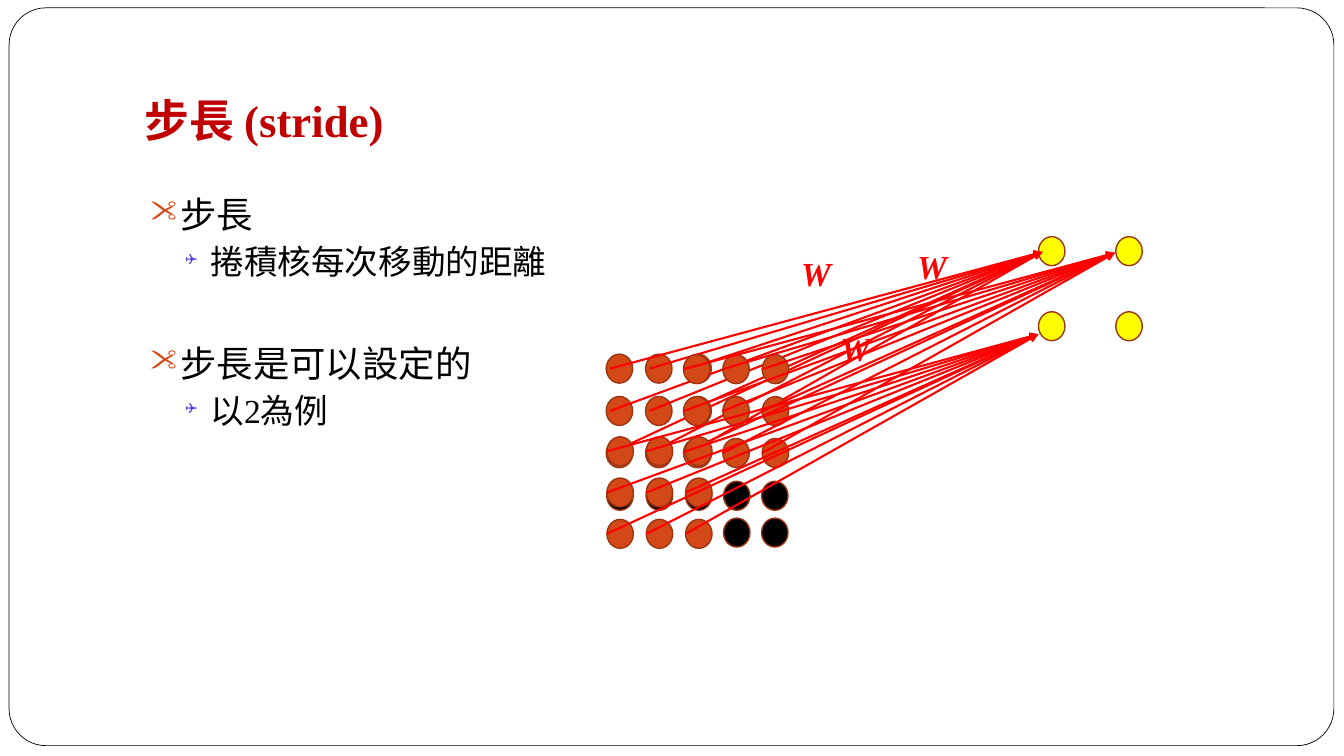
from lxml.etree import SubElement as Sub
from pptx import Presentation
from pptx.dml.color import RGBColor as RGB
from pptx.enum.shapes import MSO_CONNECTOR as LINK, MSO_SHAPE as SHAPE
from pptx.enum.text import MSO_ANCHOR as ANCHOR
from pptx.oxml.ns import qn
from pptx.util import Pt

BLACK = RGB(0x00, 0x00, 0x00)
WHITE = RGB(0xFF, 0xFF, 0xFF)
DARK = RGB(0xC0, 0x00, 0x00)
RED = RGB(0xFF, 0x00, 0x00)
RUST = RGB(0xD3, 0x48, 0x17)
BROWN = RGB(0x9C, 0x35, 0x11)
GOLD = RGB(0xFF, 0xFF, 0x00)
BLUE = RGB(0x50, 0x3D, 0xDB)


def write(para, text, size=24, color=BLACK, bold=False, italic=False,
          before=0, bullet=None):
    """Fill one paragraph; bullet is (sign, color, percent, margin, hang)."""
    para.space_before = Pt(before)
    if bullet:
        sign, tint, scale, margin, hang = bullet
        props = para._p.get_or_add_pPr()
        props.set("marL", str(Pt(margin)))
        props.set("indent", str(-Pt(hang)))
        Sub(Sub(props, qn("a:buClr")), qn("a:srgbClr"), val=str(tint))
        Sub(props, qn("a:buSzPct"), val=str(scale * 1000))
        Sub(props, qn("a:buFont"), typeface="Wingdings")
        Sub(props, qn("a:buChar"), char=sign)
    run = para.add_run()
    run.text = text
    font = run.font
    font.name = "Times New Roman"
    font.size = Pt(size)
    font.bold, font.italic = bold, italic
    font.color.rgb = color


class Board:
    dot_w, dot_h = 18.9, 20.7

    def __init__(self, slide):
        self.shapes = slide.shapes

    def shape(self, kind, x, y, w, h, fill, line, width):
        item = self.shapes.add_shape(kind, Pt(x), Pt(y), Pt(w), Pt(h))
        item.shadow.inherit = False
        item.fill.solid()
        item.fill.fore_color.rgb = fill
        item.line.color.rgb = line
        item.line.width = Pt(width)
        return item

    def dot(self, x, y, fill):
        self.shape(SHAPE.OVAL, x, y, self.dot_w, self.dot_h, fill, BROWN, 1)

    def arrow(self, x1, y1, x2, y2):
        item = self.shapes.add_connector(
            LINK.STRAIGHT, Pt(x1), Pt(y1), Pt(x2), Pt(y2))
        item.line.color.rgb = RED
        item.line.width = Pt(1.5)
        Sub(item.line._get_or_add_ln(), qn("a:tailEnd"), type="triangle")
        Sub(item._element.spPr, qn("a:effectLst"))

    def text(self, x, y, w, h, parts, anchor=ANCHOR.TOP, low=3.6):
        frame = self.shapes.add_textbox(Pt(x), Pt(y), Pt(w), Pt(h)).text_frame
        frame.word_wrap = True
        frame.vertical_anchor = anchor
        frame.margin_bottom = Pt(low)
        for i, (words, form) in enumerate(parts):
            para = frame.add_paragraph() if i else frame.paragraphs[0]
            write(para, words, **form)

    def kernel(self, x, y, step, inset, tip, label):
        """A 3 by 3 window of dots, each with an arrow to one output."""
        spots = [(x + c * 28.1, y + r * step)
                 for r in range(3) for c in range(3)]
        for left, top in spots:
            self.dot(left, top, RUST)
        for left, top in spots:
            self.arrow(left + inset, top + self.dot_h / 2, *tip)
        self.text(*label, 46.8, 36,
                  [("W", dict(color=RED, bold=True, italic=True))])


deck = Presentation()
deck.slide_width, deck.slide_height = Pt(960), Pt(540)
board = Board(deck.slides.add_slide(deck.slide_layouts[6]))

# Frame and title
frame = board.shape(SHAPE.ROUNDED_RECTANGLE, 6.5, 5.6, 946.3, 527,
                    WHITE, BLACK, 0.5)
frame.adjustments[0] = 0.05
board.text(96, 21.6, 816, 90,
           [("步長 (stride)", dict(size=32, color=DARK, bold=True))],
           anchor=ANCHOR.BOTTOM, low=7.2)

# Input dots the windows leave in view, by row
cols = (433.4, 461.5, 489.6, 516.8, 544)
for top, first in ((343.8, 0), (370.1, 3)):
    for left in cols[first:]:
        board.dot(left, top, BLACK)

# Output dots
for top in (169.1, 222.7):
    for left in (741.8, 797):
        board.dot(left, top, GOLD)

# First two windows
board.kernel(433, 253, 30.2, 2.7, (744.5, 180), (565.2, 177.1))
board.kernel(488.2, 253.4, 29.9, 0, (796.3, 180.7), (648, 172.1))

# Points
main = dict(size=26, bullet=("•", RUST, 85, 21.6, 21.6))
sub = dict(size=24, before=3.7, bullet=("❑", BLUE, 45, 43.2, 18))
board.text(100.1, 133.9, 816, 360, [
    ("步長", main),
    ("捲積核每次移動的距離", sub),
    ("步長是可以設定的", dict(main, before=42.6)),
    ("以2為例", sub),
])

# Third window, one stride down
board.kernel(433.5, 312, 29.5, 0, (741.6, 238.8), (593.3, 230.4))

deck.save("out.pptx")
